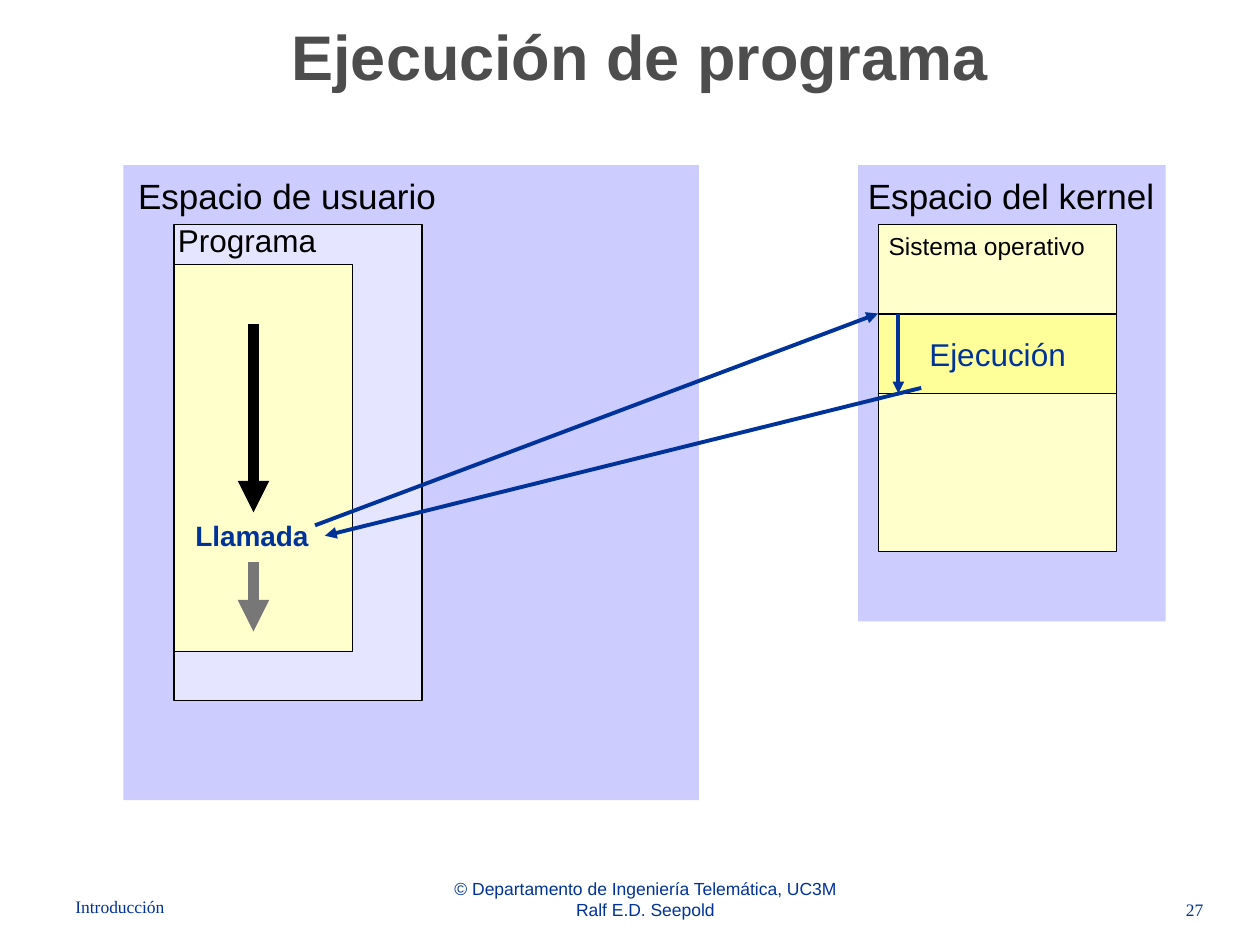
from lxml.etree import SubElement
from pptx import Presentation
from pptx.dml.color import RGBColor
from pptx.enum.shapes import MSO_CONNECTOR as Link, MSO_SHAPE as Shape
from pptx.enum.text import MSO_ANCHOR as Anchor, MSO_AUTO_SIZE as AutoSize, PP_ALIGN as Align
from pptx.oxml.ns import qn
from pptx.util import Cm, Pt

COLORS = {
    "title": "4D4D4D", "ink": "000000", "blue": "003399", "gray": "777777",
    "space": "CCCCFF", "white": "FFFFFF", "cream": "FFFFCC", "yellow": "FFFF99",
}


def color(name):
    """Return the palette colour with this name."""
    return RGBColor.from_string(COLORS[name])


def write(shape, text, size=10, fill="ink", font="Arial", bold=False,
          align=Align.CENTER, anchor=Anchor.TOP, wrap=False,
          margins=(0.25, 0.13), spacing=None):
    """Put formatted text in a shape."""
    frame = shape.text_frame
    frame.auto_size = AutoSize.NONE
    frame.word_wrap = wrap
    frame.vertical_anchor = anchor
    frame.margin_left = frame.margin_right = Cm(margins[0])
    frame.margin_top = frame.margin_bottom = Cm(margins[1])
    frame.text = text
    for paragraph in frame.paragraphs:
        paragraph.alignment = align
        paragraph.line_spacing = spacing
        for run in paragraph.runs:
            run.font.name = font
            run.font.size = Pt(size)
            run.font.bold = bold
            run.font.color.rgb = color(fill)


def add_label(slide, left, top, width, height, text, **style):
    """Add a text box."""
    box = slide.shapes.add_textbox(Cm(left), Cm(top), Cm(width), Cm(height))
    write(box, text, **style)


def add_block(slide, left, top, width, height, fill, outlined=True, opacity=None):
    """Add a filled rectangle and return it."""
    block = slide.shapes.add_shape(
        Shape.RECTANGLE, Cm(left), Cm(top), Cm(width), Cm(height))
    block.shadow.inherit = False
    block.fill.solid()
    block.fill.fore_color.rgb = color(fill)
    if opacity is not None:
        tint = block.fill._xPr.find(qn("a:solidFill"))[0]
        SubElement(tint, qn("a:alpha"), val=str(opacity * 1000))
    if outlined:
        block.line.color.rgb = color("ink")
        block.line.width = Pt(0.75)
    else:
        block.line.fill.background()
    return block


def add_arrow(slide, start, end, fill="blue", width=2.25):
    """Add a straight arrow from start to end."""
    arrow = slide.shapes.add_connector(
        Link.STRAIGHT, *(Cm(value) for value in (*start, *end)))
    arrow.line.color.rgb = color(fill)
    arrow.line.width = Pt(width)
    SubElement(arrow.line._get_or_add_ln(), qn("a:tailEnd"), type="triangle")
    SubElement(arrow._element.spPr, qn("a:effectLst"))


def place_title(slide, left, top, width, height):
    """Fill the title placeholder."""
    title = slide.shapes.title
    title.left, title.top = Cm(left), Cm(top)
    title.width, title.height = Cm(width), Cm(height)
    write(title, "Ejecución de programa", size=36, fill="title", bold=True,
          wrap=True, margins=(0.13, 0), spacing=0.9)


def draw_user_space(slide, left, top, width, height):
    """Draw the user space with the program and its call."""
    add_block(slide, left, top, width, height, "space", outlined=False)
    program_left, axis = left + 1.02, left + 2.62
    add_block(slide, program_left, top + 1.19, 5, 9.6, "white", opacity=49)
    add_block(slide, program_left, top + 2.01, 3.6, 7.8, "cream")
    add_label(slide, left + 0.05, top + 0.05, 6.5, 1.12, "Espacio de usuario", size=20)
    add_label(slide, left + 0.84, top + 0.99, 3.3, 1.02, "Programa", size=18)
    add_label(slide, left + 1.19, top + 6.99, 2.8, 0.94, "Llamada",
              size=16, fill="blue", bold=True)
    add_arrow(slide, (axis, top + 3.2), (axis, top + 7), "ink", 6)
    add_arrow(slide, (axis, top + 8), (axis, top + 9.4), "gray", 6)


def draw_kernel_space(slide, left, top, width, height):
    """Draw the kernel space with the operating system."""
    add_block(slide, left, top, width, height, "space", outlined=False)
    system_left, run_top, run_height = left + 0.41, top + 3, 1.6
    add_block(slide, system_left, top + 1.19, 4.8, 6.6, "cream")
    execution = add_block(slide, system_left, run_top, 4.8, run_height, "yellow")
    write(execution, "Ejecución", size=18, fill="blue", anchor=Anchor.MIDDLE)
    add_label(slide, left - 0.05, top + 0.05, 6.27, 1.12, "Espacio del kernel", size=20)
    add_label(slide, left + 0.36, top + 1.19, 4.47, 0.86, "Sistema operativo", size=14)
    add_arrow(slide, (left + 0.81, run_top), (left + 0.81, run_top + run_height))


def draw_calls(slide, left, top, width, height):
    """Draw the call to the kernel and the return across the given box."""
    right, bottom = left + width, top + height
    add_arrow(slide, (left, bottom - 0.21), (right - 0.87, top))
    add_arrow(slide, (right, top + 1.5), (left + 0.2, bottom))


def draw_footer(slide, left, top, width, height):
    """Write the section, the copyright and the page number."""
    style = {"fill": "blue", "anchor": Anchor.BOTTOM, "wrap": True}
    serif = {**style, "font": "Times New Roman"}
    add_label(slide, left, top, 6.53, height - 0.05, "Introducción",
              align=Align.LEFT, **serif)
    add_label(slide, left + 7.04, top + 0.64, 9.4, height - 0.64,
              "© Departamento de Ingeniería Telemática, UC3M\vRalf E.D. Seepold", **style)
    add_label(slide, left + width - 5.92, top + 0.64, 5.92, height - 0.64, "27",
              align=Align.RIGHT, **serif)


def main():
    """Build and save the slide."""
    deck = Presentation()
    deck.slide_width, deck.slide_height = Cm(25.4), Cm(19.05)
    slide = deck.slides.add_slide(deck.slide_layouts[5])
    place_title(slide, 1.3, 0.53, 23.2, 2.2)
    draw_user_space(slide, 2.49, 3.33, 11.6, 12.8)
    draw_kernel_space(slide, 17.3, 3.33, 6.2, 9.2)
    draw_calls(slide, 6.35, 6.32, 12.22, 4.48)
    draw_footer(slide, 1.27, 16.71, 23.24, 1.96)
    deck.save("out.pptx")


if __name__ == "__main__":
    main()
